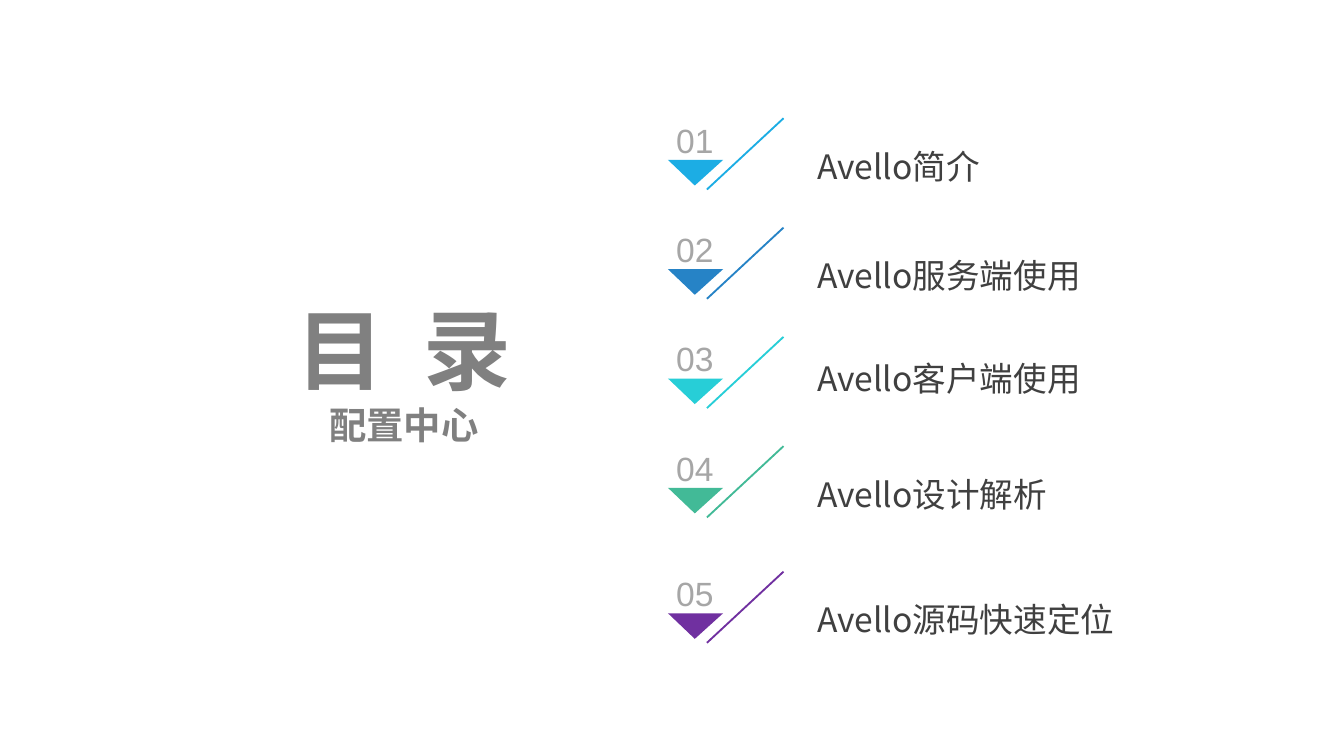
from dataclasses import dataclass

from lxml.etree import SubElement
from pptx import Presentation
from pptx.dml.color import RGBColor
from pptx.enum.shapes import MSO_CONNECTOR
from pptx.enum.text import MSO_ANCHOR, MSO_AUTO_SIZE, PP_ALIGN
from pptx.oxml.ns import qn
from pptx.util import Inches, Pt

CJK_FONT = "Noto Sans CJK SC"
HEADING = {"size": Pt(47), "name": "Arial", "bold": True}
SUBHEADING = {**HEADING, "size": Pt(20)}
NUMBER = {"size": Pt(18), "name": "Arial"}
LABEL = {"size": Pt(18), "name": CJK_FONT}

FIRST_TOP = 0.88
ROW_PITCH = (3.32 - FIRST_TOP) / 3
LABEL_CENTER = 0.31


@dataclass
class AgendaItem:
    label: str
    color: str
    line_spacing: float = 1.3
    label_height: float = 0.36
    extra_gap: float = 0


AGENDA = [
    AgendaItem("Avello简介", "1CADE4"),
    AgendaItem("Avello服务端使用", "2683C6"),
    AgendaItem("Avello客户端使用", "27CED7", line_spacing=1.0, label_height=0.3),
    AgendaItem("Avello设计解析", "42BA97"),
    AgendaItem("Avello源码快速定位", "7030A0", extra_gap=0.12),
]


def rgb(color: str) -> RGBColor:
    return RGBColor.from_string(color)


def place(shape, left: float, top: float, width: float, height: float) -> None:
    shape.left, shape.top = Inches(left), Inches(top)
    shape.width, shape.height = Inches(width), Inches(height)


def write(shape, texts: list[str], font_format: dict, color: str, anchor,
          alignment=PP_ALIGN.CENTER, line_spacing: float = 1.0) -> list:
    """Fill a shape with one paragraph, one run per text, and return the runs."""
    frame_format = {
        "margin_left": 0, "margin_top": 0, "margin_right": 0, "margin_bottom": 0,
        "word_wrap": True, "vertical_anchor": anchor,
        "auto_size": MSO_AUTO_SIZE.SHAPE_TO_FIT_TEXT,
    }
    for name, value in frame_format.items():
        setattr(shape.text_frame, name, value)
    paragraph = shape.text_frame.paragraphs[0]
    paragraph.alignment = alignment
    paragraph.line_spacing = line_spacing
    paragraph.space_before = Pt(0)
    for text in texts:
        run = paragraph.add_run()
        run.text = text
        for name, value in font_format.items():
            setattr(run.font, name, value)
        run.font.color.rgb = rgb(color)
        SubElement(run.font._element, qn("a:ea"), typeface=CJK_FONT)
    return list(paragraph.runs)


def add_text(shapes, box: tuple, *args, **options) -> None:
    write(shapes.add_textbox(*map(Inches, box)), *args, **options)


def add_slash(shapes, top: float, color: str) -> None:
    line = shapes.add_connector(MSO_CONNECTOR.STRAIGHT, Inches(5.83), Inches(top),
                                Inches(5.26), Inches(top + 0.53))
    line.line.color.rgb = rgb(color)
    line.line.width = Pt(1)
    SubElement(line._element.spPr, qn("a:effectLst"))


def add_pointer(shapes, top: float, color: str) -> None:
    """Draw the downward triangle under a number."""
    builder = shapes.build_freeform(Inches(4.97), Inches(top))
    builder.add_line_segments([(Inches(5.38), Inches(top)),
                               (Inches(5.17), Inches(top + 0.19))], close=True)
    triangle = builder.convert_to_shape()
    triangle.shadow.inherit = False
    triangle.fill.solid()
    triangle.fill.fore_color.rgb = rgb(color)
    triangle.line.fill.background()


def add_agenda_row(slide, number: int, top: float, item: AgendaItem) -> None:
    shapes = slide.shapes.add_group_shape().shapes
    label_top = top + LABEL_CENTER - item.label_height / 2
    add_text(shapes, (6.08, label_top, 2.38, item.label_height), [item.label], LABEL,
             "404040", MSO_ANCHOR.MIDDLE, alignment=PP_ALIGN.LEFT,
             line_spacing=item.line_spacing)
    add_slash(shapes, top, item.color)
    add_pointer(shapes, top + 0.31, item.color)
    add_text(shapes, (4.95, top + 0.01, 0.44, 0.3), [f"{number:02}"], NUMBER,
             "A6A6A6", MSO_ANCHOR.BOTTOM)


def main() -> None:
    presentation = Presentation()
    presentation.slide_width = Inches(10)
    presentation.slide_height = presentation.slide_width * 9 // 16
    slide = presentation.slides.add_slide(presentation.slide_layouts[0])

    title, subtitle = slide.placeholders
    place(title, 1.89, 2.2, 2.23, 0.79)
    place(subtitle, 1.9, 2.99, 2.21, 0.34)
    title_runs = write(title, ["目", " ", "录"], HEADING, "808080", MSO_ANCHOR.MIDDLE)
    title_runs[1].font._element.set("spc", "1030")
    write(subtitle, ["配置中心"], SUBHEADING, "808080", MSO_ANCHOR.TOP)

    top = FIRST_TOP
    for number, item in enumerate(AGENDA, start=1):
        top += item.extra_gap
        add_agenda_row(slide, number, top, item)
        top += ROW_PITCH

    presentation.save("out.pptx")


if __name__ == "__main__":
    main()
